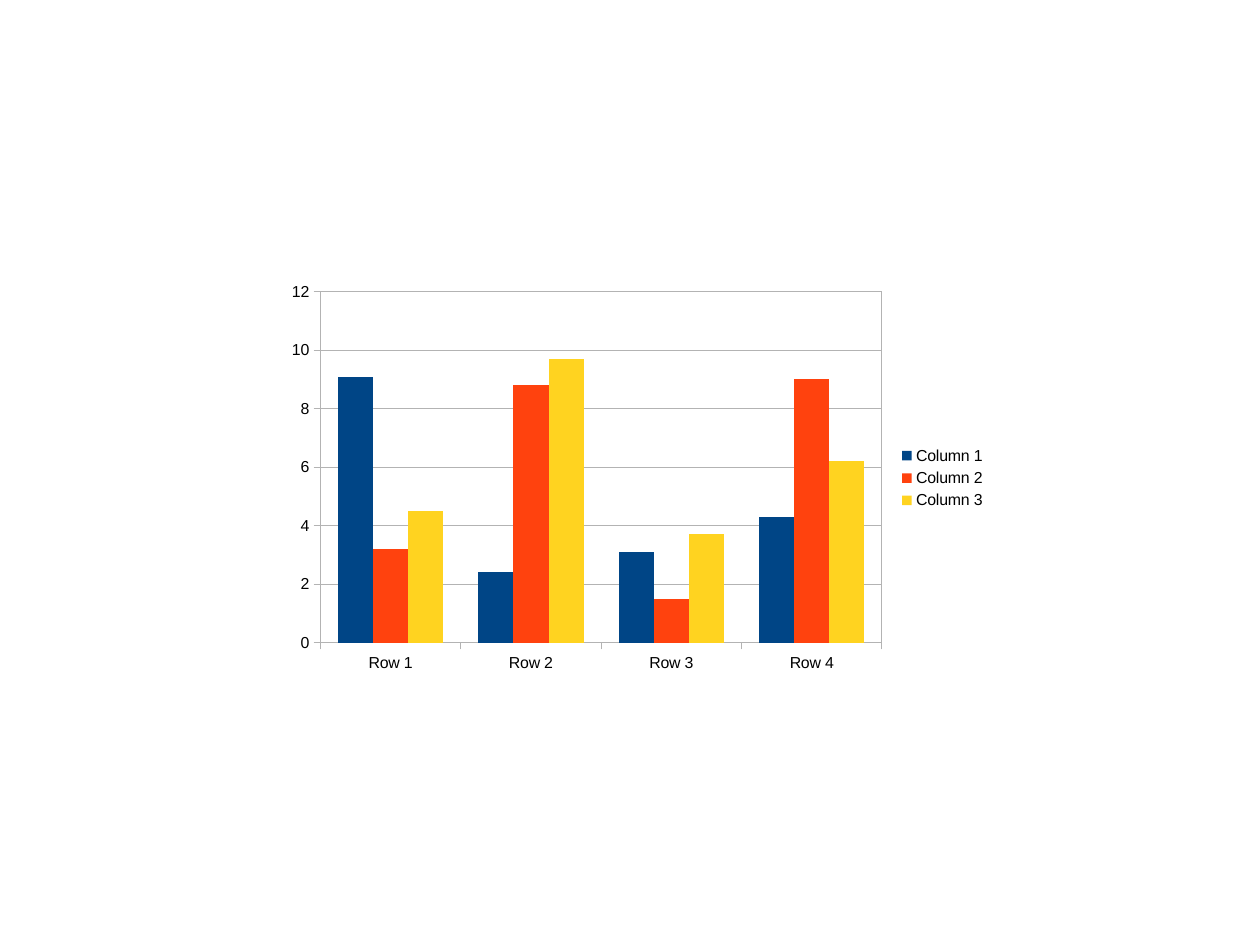
import pptx
import pptx.chart.data
import pptx.dml.color
import pptx.enum.chart
import pptx.oxml
import pptx.oxml.ns
import pptx.util


def paint(format_part, hex_color):
    format_part.solid()
    format_part.fore_color.rgb = pptx.dml.color.RGBColor.from_string(hex_color)


deck = pptx.Presentation()
deck.slide_width = pptx.util.Cm(28)
deck.slide_height = pptx.util.Cm(21)
slide = deck.slides.add_slide(deck.slide_layouts[6])

columns = [
    ("Column 1", (9.1, 2.4, 3.1, 4.3), "004586"),
    ("Column 2", (3.2, 8.8, 1.5, 9), "FF420E"),
    ("Column 3", (4.5, 9.7, 3.7, 6.2), "FFD320"),
]
rows = pptx.chart.data.CategoryChartData()
rows.categories = [f"Row {number}" for number in range(1, 5)]
for name, values, color in columns:
    rows.add_series(name, values)

chart = slide.shapes.add_chart(
    pptx.enum.chart.XL_CHART_TYPE.COLUMN_CLUSTERED,
    int(deck.slide_width * 0.22),
    int(deck.slide_height * 7 / 24),
    int(deck.slide_width * 4 / 7),
    int(deck.slide_height * 3 / 7),
    rows,
).chart
chart.has_title = False
chart.has_legend = True
chart.legend.position = pptx.enum.chart.XL_LEGEND_POSITION.RIGHT
chart.legend.include_in_layout = False

row_axis, value_axis = chart.category_axis, chart.value_axis
value_axis.minimum_scale = 0
value_axis.maximum_scale = 12
value_axis.major_unit = 2
value_axis.has_major_gridlines = True
for axis in (row_axis, value_axis):
    axis.major_tick_mark = pptx.enum.chart.XL_TICK_MARK.OUTSIDE
    axis.minor_tick_mark = pptx.enum.chart.XL_TICK_MARK.NONE
for ruled in (row_axis, value_axis, value_axis.major_gridlines):
    paint(ruled.format.line.fill, "B3B3B3")
    ruled.format.line.width = pptx.util.Pt(0)

for lettering in (chart.font, chart.legend.font,
                  row_axis.tick_labels.font, value_axis.tick_labels.font):
    lettering.name = "Arial"
    lettering.size = pptx.util.Pt(10)
    paint(lettering.fill, "000000")

bars = chart.plots[0]
bars.gap_width = 100
bars.overlap = 0
bars.vary_by_categories = False
for series, (name, values, color) in zip(bars.series, columns):
    series.invert_if_negative = False
    paint(series.format.fill, color)

plot_area = bars._element.getparent()
for old_layout in plot_area.findall(pptx.oxml.ns.qn("c:layout")):
    plot_area.remove(old_layout)
namespaces = pptx.oxml.ns.nsdecls("c", "a")
plot_area.insert(0, pptx.oxml.parse_xml(
    f'<c:layout {namespaces}><c:manualLayout><c:layoutTarget val="inner"/>'
    '<c:xMode val="edge"/><c:yMode val="edge"/><c:x val="0.06"/><c:y val="0.04"/>'
    f'<c:w val="0.78"/><c:h val="{13 / 15}"/></c:manualLayout></c:layout>'))
plot_area.append(pptx.oxml.parse_xml(
    f'<c:spPr {namespaces}><a:noFill/><a:ln w="0"><a:solidFill>'
    '<a:srgbClr val="B3B3B3"/></a:solidFill></a:ln></c:spPr>'))

deck.save("out.pptx")
